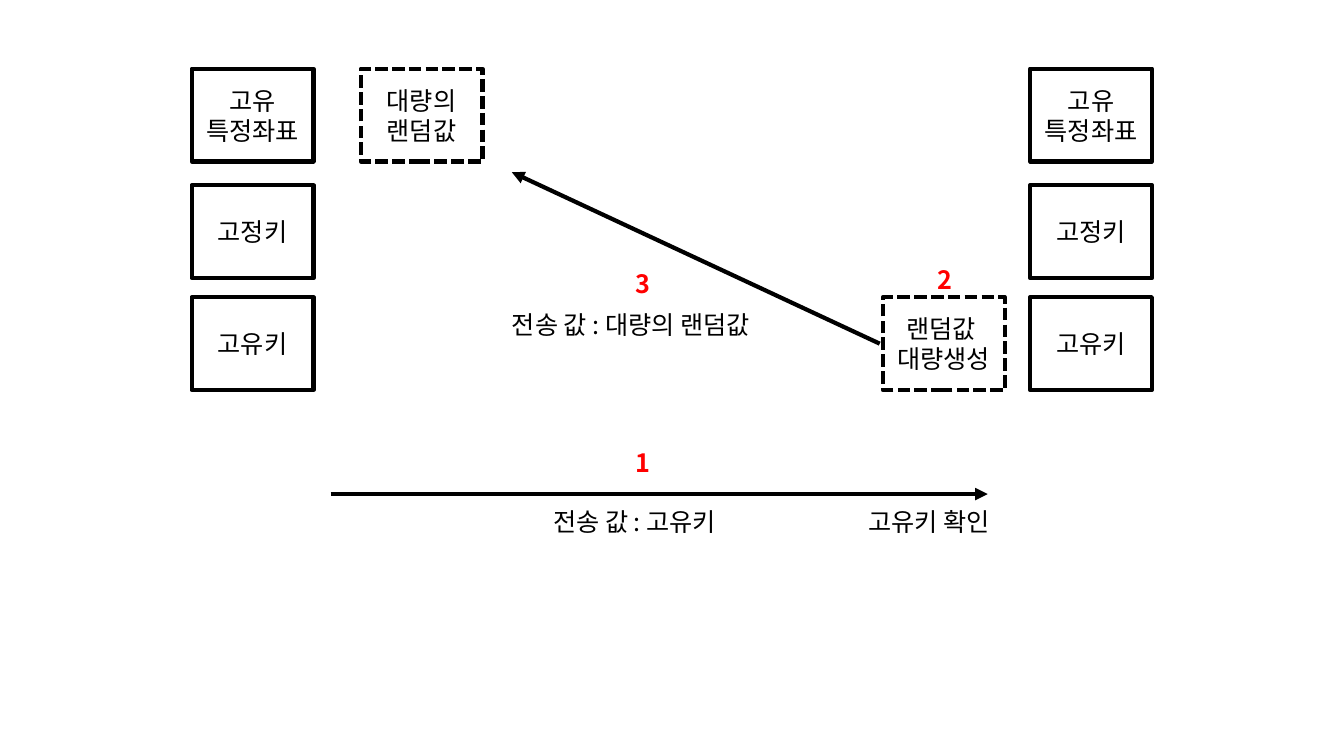
import pptx
import pptx.dml.color
import pptx.enum.dml
import pptx.enum.shapes
import pptx.enum.text
import pptx.oxml.ns
import pptx.util
from lxml import etree

Cm, Pt = pptx.util.Cm, pptx.util.Pt
PP_ALIGN = pptx.enum.text.PP_ALIGN
DASH = pptx.enum.dml.MSO_LINE.SQUARE_DOT


def rgb(value):
    return pptx.dml.color.RGBColor.from_string(value)


def add_tag(parent, tag, **attrs):
    return etree.SubElement(parent, pptx.oxml.ns.qn(tag), attrs)


class Diagram:
    """Draws key-exchange elements on a slide in one shared style."""

    font = {"name": "Noto Sans CJK KR", "size": Pt(18), "bold": False}
    frame = {
        "word_wrap": True,
        "margin_left": Cm(0.25),
        "margin_right": Cm(0.25),
        "margin_top": Cm(0.13),
        "margin_bottom": Cm(0.13),
    }
    ink, paper, accent = "000000", "FFFFFF", "FF0000"
    box_size = (Cm(3.07), Cm(2.34))

    def __init__(self, slide):
        self.slide = slide

    def fill_text(self, sp, lines, align, anchor, color, **extra):
        tf = sp.text_frame
        for name, value in {**self.frame, "vertical_anchor": anchor}.items():
            setattr(tf, name, value)
        for i, line in enumerate(lines):
            p = tf.paragraphs[0] if i == 0 else tf.add_paragraph()
            p.alignment = align
            r = p.add_run()
            r.text = line
            for name, value in {**self.font, **extra}.items():
                setattr(r.font, name, value)
            r.font.color.rgb = rgb(color)
            add_tag(r.font._element, "a:ea", typeface=self.font["name"])

    def outline(self, line, dash=None):
        line.color.rgb = rgb(self.ink)
        line.width = Pt(3)
        if dash:
            line.dash_style = dash

    def box(self, x, y, lines, dash=None):
        rect = pptx.enum.shapes.MSO_SHAPE.RECTANGLE
        sp = self.slide.shapes.add_shape(rect, Cm(x), Cm(y), *self.box_size)
        sp.shadow.inherit = False
        sp.fill.solid()
        sp.fill.fore_color.rgb = rgb(self.paper)
        self.outline(sp.line, dash)
        self.fill_text(sp, lines, PP_ALIGN.CENTER, pptx.enum.text.MSO_ANCHOR.MIDDLE, self.ink)

    def label(self, x, y, width, text, color=ink, **extra):
        sp = self.slide.shapes.add_textbox(Cm(x), Cm(y), Cm(width), Cm(1.03))
        self.fill_text(sp, [text], PP_ALIGN.LEFT, pptx.enum.text.MSO_ANCHOR.TOP, color, **extra)

    def step(self, x, y, number):
        self.label(x, y, 1.4, number, self.accent, bold=True)

    def arrow(self, *ends):
        straight = pptx.enum.shapes.MSO_CONNECTOR.STRAIGHT
        sp = self.slide.shapes.add_connector(straight, *[Cm(v) for v in ends])
        self.outline(sp.line)
        add_tag(sp.line._get_or_add_ln(), "a:tailEnd", type="triangle")
        add_tag(sp._element.spPr, "a:effectLst")


def main():
    prs = pptx.Presentation()
    prs.slide_width, prs.slide_height = Cm(33.87), Cm(19.05)
    d = Diagram(prs.slides.add_slide(prs.slide_layouts[6]))

    top, middle, bottom = 1.73, 4.67, 7.49
    stored = [(top, ["고유", "특정좌표"]), (middle, ["고정키"]), (bottom, ["고유키"])]
    for x in (4.83, 25.96):
        for y, lines in stored:
            d.box(x, y, lines)
    d.box(9.09, top, ["대량의 랜덤값"], DASH)
    d.box(22.25, bottom, ["랜덤값 ", "대량생성"], DASH)

    d.arrow(8.33, 12.45, 24.89, 12.45)
    d.arrow(22.17, 8.66, 12.9, 4.34)

    for x, y, number in [(15.77, 11.15, "1"), (23.37, 6.53, "2"), (15.77, 6.63, "3")]:
        d.step(x, y, number)

    d.label(13.69, 12.62, 6.5, "전송 값 : 고유키")
    d.label(12.65, 7.67, 8.31, "전송 값 : 대량의 랜덤값")
    d.label(21.64, 12.62, 6.5, "고유키 확인")

    prs.save("out.pptx")


if __name__ == "__main__":
    main()
